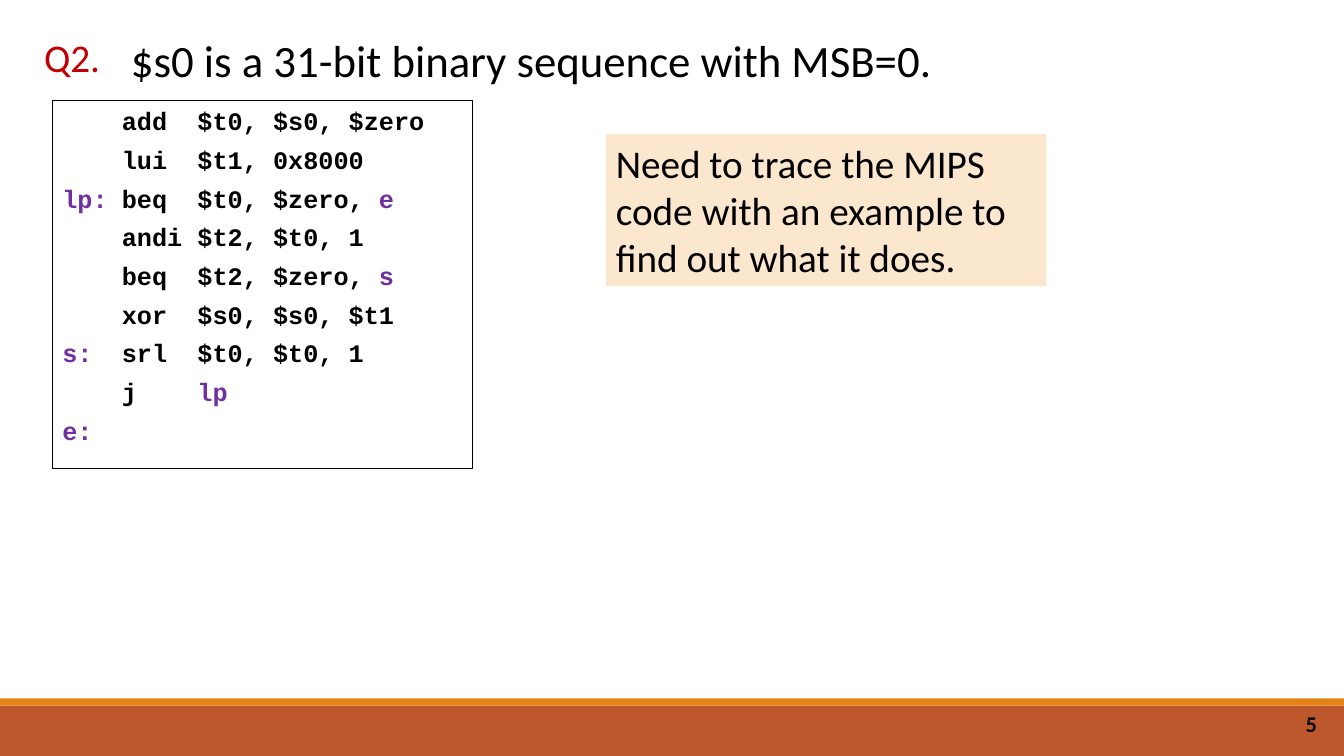
from lxml import etree
from pptx import Presentation
from pptx.dml.color import RGBColor
from pptx.enum.shapes import MSO_SHAPE as Preset
from pptx.enum.text import MSO_ANCHOR as Anchor, PP_ALIGN as Align
from pptx.oxml.ns import qn
from pptx.util import Inches, Pt

BLACK, RED, PURPLE = "000000", "C00000", "7030A0"


def color(value):
    return RGBColor.from_string(value)


def add_run(paragraph, text, size, ink=BLACK, name="Calibri", bold=False):
    run = paragraph.add_run()
    run.text = text
    for key, value in dict(size=Pt(size), name=name, bold=bold).items():
        setattr(run.font, key, value)
    run.font.color.rgb = color(ink)


presentation = Presentation()
presentation.slide_width, presentation.slide_height = Inches(13.33), Inches(7.5)
slide = presentation.slides.add_slide(presentation.slide_layouts[6])

# Footer bands, note background and code frame
panels = {}
for name, box, fill in [
    ("footer", (0, 7, 13.33, 0.5), "BD582C"),
    ("stripe", (0, 6.93, 13.33, 0.07), "E48312"),
    ("note", (6.01, 1.33, 4.37, 1.51), "FBE6CE"),
    ("code", (0.52, 1, 4.17, 3.65), "FFFFFF"),
]:
    shape = slide.shapes.add_shape(Preset.RECTANGLE, *map(Inches, box))
    shape.shadow.inherit = False
    shape.fill.solid()
    shape.fill.fore_color.rgb = color(fill)
    shape.line.fill.background()
    shape.text_frame.vertical_anchor = Anchor.TOP
    panels[name] = shape

# Slide number, question label and question
for text, box, size, ink, bold, align, anchor in [
    ("5", (10.16, 6.98, 3, 0.4), 16, BLACK, True, Align.RIGHT, Anchor.MIDDLE),
    ("Q2.", (0.22, 0.28, 0.99, 0.57), 28, RED, False, Align.CENTER, Anchor.TOP),
    ("$s0 is a 31-bit binary sequence with MSB=0.", (1.2, 0.28, 11.92, 0.64),
     32, BLACK, False, Align.LEFT, Anchor.TOP),
]:
    frame = slide.shapes.add_textbox(*map(Inches, box)).text_frame
    frame.word_wrap = True
    frame.vertical_anchor = anchor
    frame.paragraphs[0].alignment = align
    add_run(frame.paragraphs[0], text, size, ink, bold=bold)

# Note
paragraph = panels["note"].text_frame.paragraphs[0]
paragraph.alignment = Align.LEFT
add_run(paragraph, "Need to trace the MIPS code with an example to find out what it does.", 28)

# MIPS code: label, instruction, operands, branch target
code = panels["code"]
code.line.color.rgb = color(BLACK)
code.line.width = Pt(0.75)
code_lines = [
    ("", "add", "$t0, $s0, $zero", ""),
    ("", "lui", "$t1, 0x8000", ""),
    ("lp:", "beq", "$t0, $zero, ", "e"),
    ("", "andi", "$t2, $t0, 1", ""),
    ("", "beq", "$t2, $zero, ", "s"),
    ("", "xor", "$s0, $s0, $t1", ""),
    ("s:", "srl", "$t0, $t0, 1", ""),
    ("", "j", "", "lp"),
    ("e:", "", "", ""),
]
for index, (label, instruction, operands, target) in enumerate(code_lines):
    frame = code.text_frame
    paragraph = frame.add_paragraph() if index else frame.paragraphs[0]
    paragraph.alignment = Align.LEFT
    paragraph.space_after = Pt(6)
    tab_list = etree.SubElement(paragraph._p.get_or_add_pPr(), qn("a:tabLst"))
    for stop in (0.59, 1.34):
        etree.SubElement(tab_list, qn("a:tab"), pos=str(Inches(stop)), algn="l")
    body = f"\t{instruction}\t{operands}" if instruction else ""
    for text, ink in [(label, PURPLE), (body, BLACK), (target, PURPLE)]:
        if text:
            add_run(paragraph, text, 18, ink, "Courier New", True)

presentation.save("out.pptx")
